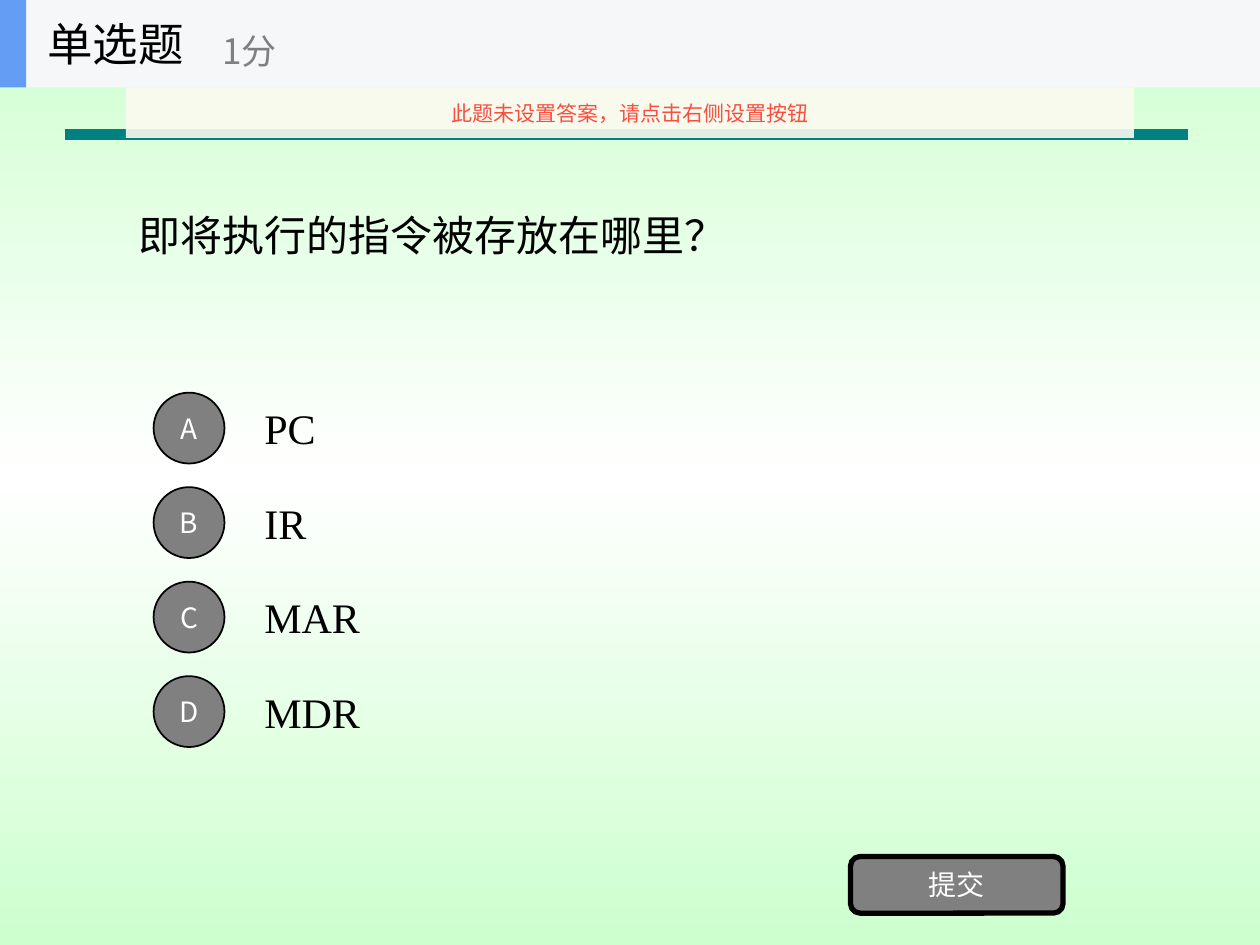
from copy import deepcopy

from lxml import etree
from pptx import Presentation
from pptx.dml.color import RGBColor
from pptx.enum.shapes import MSO_CONNECTOR, MSO_SHAPE
from pptx.enum.text import MSO_ANCHOR, PP_ALIGN
from pptx.oxml.ns import qn
from pptx.util import Pt

RECT, OVAL, ROUNDED = MSO_SHAPE.RECTANGLE, MSO_SHAPE.OVAL, MSO_SHAPE.ROUNDED_RECTANGLE
STRAIGHT = MSO_CONNECTOR.STRAIGHT
MIDDLE = MSO_ANCHOR.MIDDLE
LEFT, CENTER = PP_ALIGN.LEFT, PP_ALIGN.CENTER

SANS, SERIF = "Noto Sans CJK SC", "Times New Roman"
COLORS = {
    "mint": "CDFFCE", "white": "FFFFFF", "black": "000000", "teal": "008080",
    "gray": "808080", "header": "F6F7F8", "accent": "639EF4",
    "notice": "FBFAEF", "warning": "F84F41",
}


def rgb(name):
    """Return the named palette colour."""
    return RGBColor.from_string(COLORS[name])


def write(shape, text, size=16, font=SANS, color="black", align=LEFT, wrap=True):
    """Write one formatted paragraph into a shape."""
    frame = shape.text_frame
    frame.word_wrap = wrap
    frame.vertical_anchor = MIDDLE
    paragraph = frame.paragraphs[0]
    paragraph.alignment = align
    run = paragraph.add_run()
    run.text = text
    run.font.size = Pt(size)
    run.font.color.rgb = rgb(color)
    run.font.name = font
    etree.SubElement(run.font._element, qn("a:ea"), typeface=SANS)


def add_label(shapes, box, text, **style):
    """Add a text box at the given box in points."""
    write(shapes.add_textbox(*map(Pt, box)), text, **style)


def add_panel(shapes, kind, box, fill, outline=0):
    """Add a filled shape with an optional black outline."""
    panel = shapes.add_shape(kind, *map(Pt, box))
    panel.shadow.inherit = False
    panel.fill.solid()
    panel.fill.fore_color.rgb = rgb(fill)
    if outline:
        panel.line.color.rgb = rgb("black")
        panel.line.width = Pt(outline)
    else:
        panel.line.fill.background()
    return panel


def paint_background(slide):
    """Fade the background from mint to white and back, top to bottom."""
    fill = slide.background.fill
    fill.gradient()
    fill.gradient_angle = 270
    stop_list = slide._element.find(".//" + qn("a:gsLst"))
    stop_list.append(deepcopy(stop_list[0]))
    for stop, color, position in zip(fill.gradient_stops, ("mint", "white", "mint"), (0, 0.5, 1)):
        stop.color.rgb = rgb(color)
        stop.position = position


def add_rule(shapes, left, top, width):
    """Draw the thick teal rule."""
    rule = shapes.add_connector(STRAIGHT, Pt(left), Pt(top), Pt(left + width), Pt(top))
    rule.line.color.rgb = rgb("teal")
    rule.line.width = Pt(6)
    etree.SubElement(rule._element.spPr, qn("a:effectLst"))


def add_options(shapes, left, top, width, pitch, answers):
    """Stack lettered answers at an equal pitch."""
    row_height, badge, indent = 50.4, 40.5, 56.25
    for index, (letter, answer) in enumerate(zip("ABCD", answers)):
        row_top = top + index * pitch
        add_label(shapes, (left + indent, row_top, width - indent, row_height), answer,
                  size=24, font=SERIF)
        circle = add_panel(shapes, OVAL,
                           (left, row_top + (row_height - badge) / 2, badge, badge), "gray", 1)
        write(circle, letter, color="white", align=CENTER, wrap=False)


def add_submit(shapes, box):
    """Add the submit button."""
    button = add_panel(shapes, ROUNDED, box, "gray", 3)
    button.adjustments[0] = 0.17
    write(button, "提交", color="white", align=CENTER, wrap=False)


def add_header(slide, left, top, width, height):
    """Add the grouped header band with question type and score."""
    parts = slide.shapes.add_group_shape().shapes
    add_panel(parts, RECT, (left, top, width, height), "header")
    add_panel(parts, RECT, (left, top, 15, height), "accent")
    add_label(parts, (left + 20, top, 150, height), "单选题", size=26)
    add_label(parts, (left + 120, top + 9, 180, 40), "1分", size=20, color="gray")


def add_notice(shapes, box):
    """Add the translucent missing-answer notice."""
    notice = add_panel(shapes, RECT, box, "notice")
    tint = notice._element.spPr.find(".//" + qn("a:srgbClr"))
    etree.SubElement(tint, qn("a:alpha"), val="90000")
    write(notice, "此题未设置答案，请点击右侧设置按钮", size=12, color="warning",
          align=CENTER, wrap=False)


def main():
    """Build and save the question slide."""
    deck = Presentation()
    deck.slide_width, deck.slide_height = Pt(720), Pt(540)
    slide = deck.slides.add_slide(deck.slide_layouts[6])
    shapes = slide.shapes
    paint_background(slide)
    add_rule(shapes, 37, 77, 642)
    add_label(shapes, (72, 50, 576, 168.5), "即将执行的指令被存放在哪里？", size=24, font=SERIF)
    add_options(shapes, 87.75, 219.4, 560.25, 54, ("PC", "IR", "MAR", "MDR"))
    add_submit(shapes, (486, 489.4, 121.5, 32.4))
    add_header(slide, 0, 0, 720, 50)
    add_notice(shapes, (72, 50, 576, 28.8))
    deck.save("out.pptx")


if __name__ == "__main__":
    main()
